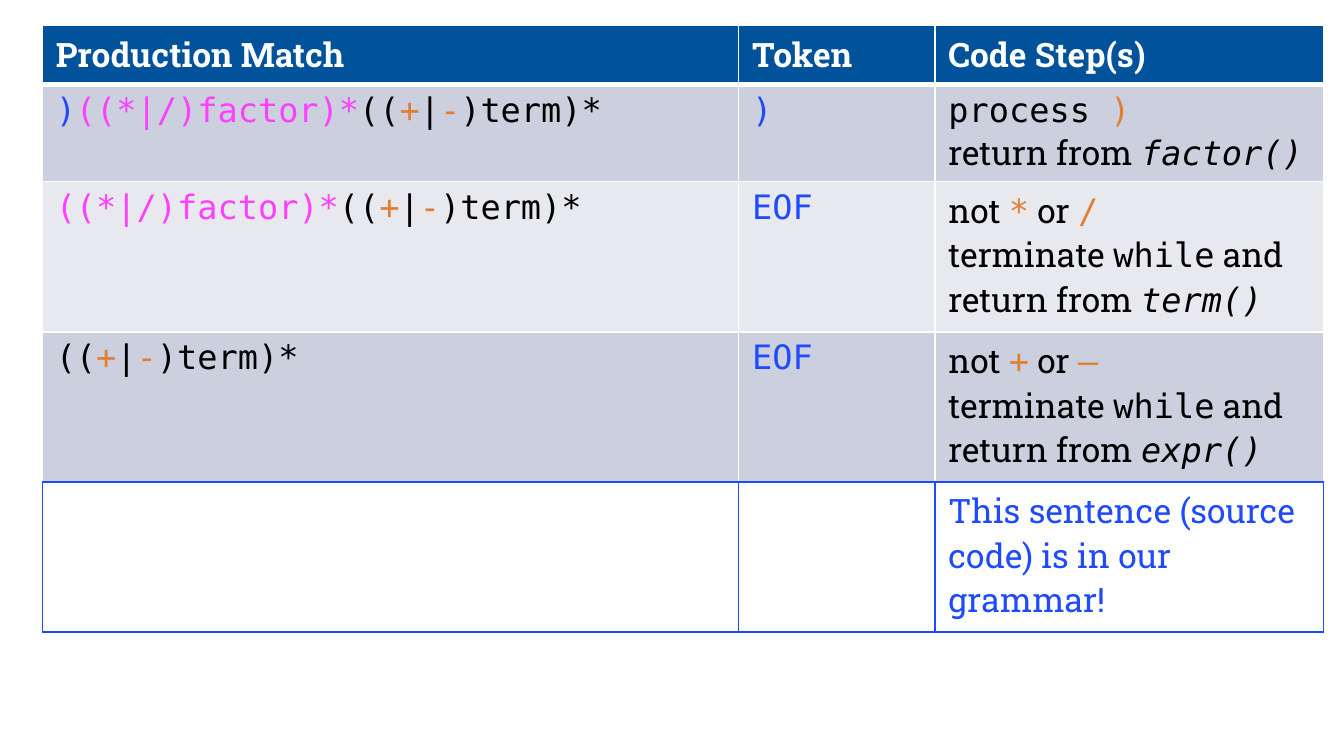
"""Build a slide that traces the last steps of a recursive descent parse."""
import pptx
import pptx.dml.color
import pptx.oxml
import pptx.oxml.ns
import pptx.util

COLORS = {
    "white": "FFFFFF",
    "black": "000000",
    "header": "00529B",
    "band_dark": "CCD0DE",
    "band_light": "E7E9EF",
    "blue": "1F4AFF",
    "pink": "FF40FF",
    "orange": "E17F35",
}
SIZE = pptx.util.Pt(18)
PROSE = {"name": "Roboto Slab", "size": SIZE, "bold": False, "italic": False}
CODE = {**PROSE, "name": "DejaVu Sans Mono"}
STYLES = {
    "header": ({**PROSE, "bold": True}, "white"),
    "prose": (PROSE, "black"),
    "result": (PROSE, "blue"),
    "code": (CODE, "black"),
    "call": ({**CODE, "italic": True}, "black"),
    "token": (CODE, "blue"),
    "factors": (CODE, "pink"),
    "operator": (CODE, "orange"),
}

FACTORS = [("((*|/)factor)*", "factors")]
TERMS = [("((", "code"), ("+", "operator"), ("|", "code"),
         ("-", "operator"), (")term)*", "code")]
END_OF_FILE = [[("EOF", "token")]]
HEADINGS = ["Production Match", "Token", "Code Step(s)"]


def mismatch(first, second):
    """Return the runs that name two operators which are not next."""
    return [("not ", "prose"), (first, "operator"),
            (" or ", "prose"), (second, "operator")]


def end_loop(function):
    """Return the runs for leaving a while loop and its function."""
    return [("terminate ", "prose"), ("while", "code"),
            (" and return from ", "prose"), (function, "call")]


ROWS = [
    {"height": 1.12, "fill": "header", "bottom": ("white", 3),
     "cells": [[[(heading, "header")]] for heading in HEADINGS]},
    {"height": 1.75, "fill": "band_dark",
     "cells": [[[(")", "token")] + FACTORS + TERMS],
               [[(")", "token")]],
               [[("process ", "code"), (")", "operator")],
                [("return from ", "prose"), ("factor()", "call")]]]},
    {"height": 2.84, "fill": "band_light",
     "cells": [[FACTORS + TERMS], END_OF_FILE,
               [mismatch("*", "/"), end_loop("term()")]]},
    {"height": 2.84, "fill": "band_dark", "bottom": ("blue", 0.96),
     "cells": [[TERMS], END_OF_FILE,
               [mismatch("+", "–"), end_loop("expr()")]]},
    {"height": 2.84, "fill": "white", "border": "blue",
     "cells": [[], [],
               [[("This sentence (source code) is in our grammar!", "result")]]]},
]


def rgb(name):
    """Return the named colour."""
    return pptx.dml.color.RGBColor.from_string(COLORS[name])


def write_paragraphs(text_frame, paragraphs):
    """Write styled runs into a text frame, one list for each paragraph."""
    for index, runs in enumerate(paragraphs):
        paragraph = text_frame.add_paragraph() if index else text_frame.paragraphs[0]
        for text, style in runs:
            run = paragraph.add_run()
            run.text = text
            values, color = STYLES[style]
            for attribute, value in values.items():
                setattr(run.font, attribute, value)
            run.font.color.rgb = rgb(color)


def draw_borders(cell, color, bottom):
    """Draw the four cell borders, with its own colour and width at the bottom."""
    properties = cell._tc.get_or_add_tcPr()
    side = (color, 0.96)
    edges = {"lnL": side, "lnR": side, "lnT": side, "lnB": bottom or side}
    for index, (tag, (name, width)) in enumerate(edges.items()):
        line = pptx.oxml.parse_xml(
            f'<a:{tag} {pptx.oxml.ns.nsdecls("a")} w="{int(pptx.util.Pt(width))}">'
            f'<a:solidFill><a:srgbClr val="{COLORS[name]}"/></a:solidFill></a:{tag}>')
        properties.insert(index, line)


def add_trace_table(slide, left, top, column_widths):
    """Place the parse trace table with its corner at the given point."""
    Cm = pptx.util.Cm
    width = sum(column_widths)
    height = sum(row["height"] for row in ROWS)
    table = slide.shapes.add_table(len(ROWS), len(column_widths), Cm(left),
                                   Cm(top), Cm(width), Cm(height)).table
    for column, column_width in zip(table.columns, column_widths):
        column.width = Cm(column_width)
    for table_row, row in zip(table.rows, ROWS):
        table_row.height = Cm(row["height"])
        for cell, paragraphs in zip(table_row.cells, row["cells"]):
            cell.fill.solid()
            cell.fill.fore_color.rgb = rgb(row["fill"])
            draw_borders(cell, row.get("border", "white"), row.get("bottom"))
            write_paragraphs(cell.text_frame, paragraphs)


def main():
    """Build and save the presentation."""
    presentation = pptx.Presentation()
    presentation.slide_width = pptx.util.Cm(25.4)
    presentation.slide_height = pptx.util.Cm(14.29)
    slide = presentation.slides.add_slide(
        presentation.slide_layouts.get_by_name("Blank"))
    add_trace_table(slide, 0.8, 0.48, [13.16, 3.71, 7.34])
    presentation.save("out.pptx")


if __name__ == "__main__":
    main()
